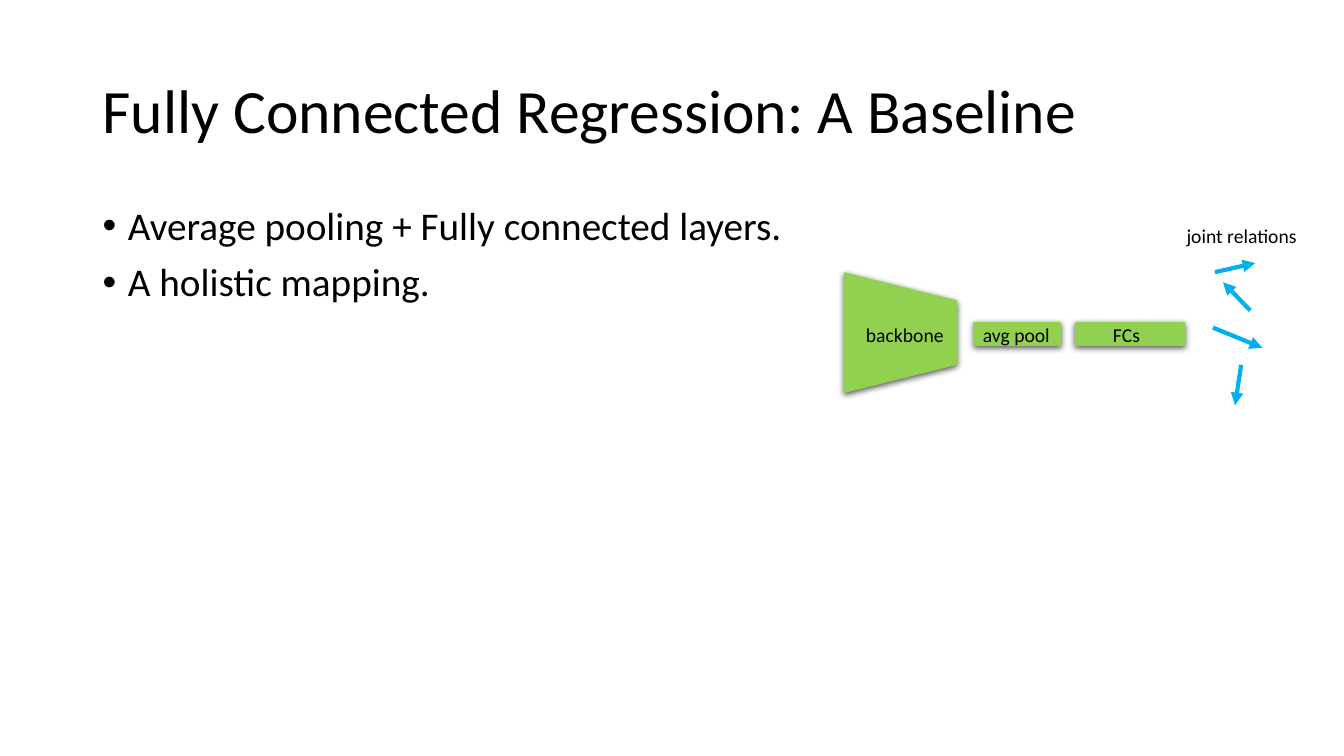
from lxml import etree
from pptx import Presentation
from pptx import util as u
from pptx.dml.color import RGBColor
from pptx.enum import shapes, text
from pptx.oxml import parse_xml
from pptx.oxml.ns import nsdecls, qn

BLACK = RGBColor(0x00, 0x00, 0x00)
GREEN = RGBColor(0x92, 0xD0, 0x50)
BLUE = RGBColor(0x00, 0xB0, 0xF0)

SHADOW = (
    f'<a:outerShdw {nsdecls("a")} blurRad="57150" dist="19050" dir="5400000" '
    'algn="ctr" rotWithShape="0"><a:srgbClr val="000000">'
    '<a:alpha val="63000"/></a:srgbClr></a:outerShdw>'
)


class Deck:
    font = "Calibri"

    def __init__(self, width, height):
        self.prs = Presentation()
        self.prs.slide_width = u.Inches(width)
        self.prs.slide_height = u.Inches(height)
        self.s = self.prs.slides.add_slide(self.prs.slide_layouts[6])

    def text(self, box, lines, size, bullet=False, frame=None, para=None):
        """Add a text box; frame and para hold attributes to set."""
        tf = self.s.shapes.add_textbox(*map(u.Inches, box)).text_frame
        for name, value in (frame or {}).items():
            setattr(tf, name, value)
        for i, line in enumerate(lines):
            p = tf.paragraphs[0] if i == 0 else tf.add_paragraph()
            if bullet:
                self.bullet(p)
            for name, value in (para or {}).items():
                setattr(p, name, value)
            if bullet and i:
                p.space_before = u.Pt(10)
            r = p.add_run()
            r.text = line
            for name, value in {"name": self.font, "size": u.Pt(size)}.items():
                setattr(r.font, name, value)
            r.font.color.rgb = BLACK

    def bullet(self, p):
        pPr = p._p.get_or_add_pPr()
        indent = u.Inches(0.25)
        pPr.set("marL", str(indent))
        pPr.set("indent", str(-indent))
        etree.SubElement(pPr, qn("a:buFont")).set("typeface", "Arial")
        etree.SubElement(pPr, qn("a:buChar")).set("char", "•")

    def label(self, box, line):
        fit = text.MSO_AUTO_SIZE.SHAPE_TO_FIT_TEXT
        self.text(box, [line], 14, frame={"word_wrap": True, "auto_size": fit})

    def block(self, box, taper):
        """Add a trapezoid turned so that its narrow end points right."""
        sp = self.s.shapes.add_shape(
            shapes.MSO_SHAPE.TRAPEZOID, *map(u.Inches, box))
        sp.rotation = 90
        sp.adjustments[0] = taper
        sp.fill.solid()
        sp.fill.fore_color.rgb = GREEN
        sp.line.fill.background()
        sp.shadow.inherit = False
        sp._element.spPr.find(qn("a:effectLst")).append(parse_xml(SHADOW))

    def arrow(self, start, end):
        sp = self.s.shapes.add_connector(
            shapes.MSO_CONNECTOR.STRAIGHT, *map(u.Inches, start + end))
        sp.line.color.rgb = BLUE
        sp.line.width = u.Pt(3)
        ln = sp.line._get_or_add_ln()
        etree.SubElement(ln, qn("a:tailEnd")).set("type", "triangle")
        etree.SubElement(sp._element.spPr, qn("a:effectLst"))


def main():
    deck = Deck(13.33, 7.5)
    deck.text((0.92, 0.4, 11.5, 1.45),
              ["Fully Connected Regression: A Baseline"], 44,
              frame={"word_wrap": True,
                     "vertical_anchor": text.MSO_ANCHOR.MIDDLE},
              para={"line_spacing": 0.9})
    deck.text((0.92, 2, 7.06, 4.76),
              ["Average pooling + Fully connected layers.",
               "A holistic mapping."], 28, bullet=True,
              frame={"word_wrap": True}, para={"line_spacing": 0.9})

    network = [
        ("backbone", (8.33, 2.74, 1.2, 1.12), 0.25, 8.49, 1.11),
        ("avg pool", (9.97, 2.88, 0.24, 0.87), 0, 9.65, 0.95),
        ("FCs", (11.09, 2.77, 0.24, 1.09), 0, 10.94, 0.49),
    ]
    for name, box, taper, left, width in network:
        deck.block(box, taper)
        deck.label((left, 3.15, width, 0.34), name)

    joint_relations = [
        ((12.05, 2.7), (12.45, 2.61)),
        ((12.4, 3.08), (12.13, 2.8)),
        ((12.03, 3.25), (12.52, 3.45)),
        ((12.31, 3.62), (12.25, 4.02)),
    ]
    for start, end in joint_relations:
        deck.arrow(start, end)
    deck.label((11.67, 2.17, 1.47, 0.34), "joint relations")

    deck.prs.save("out.pptx")


if __name__ == "__main__":
    main()
